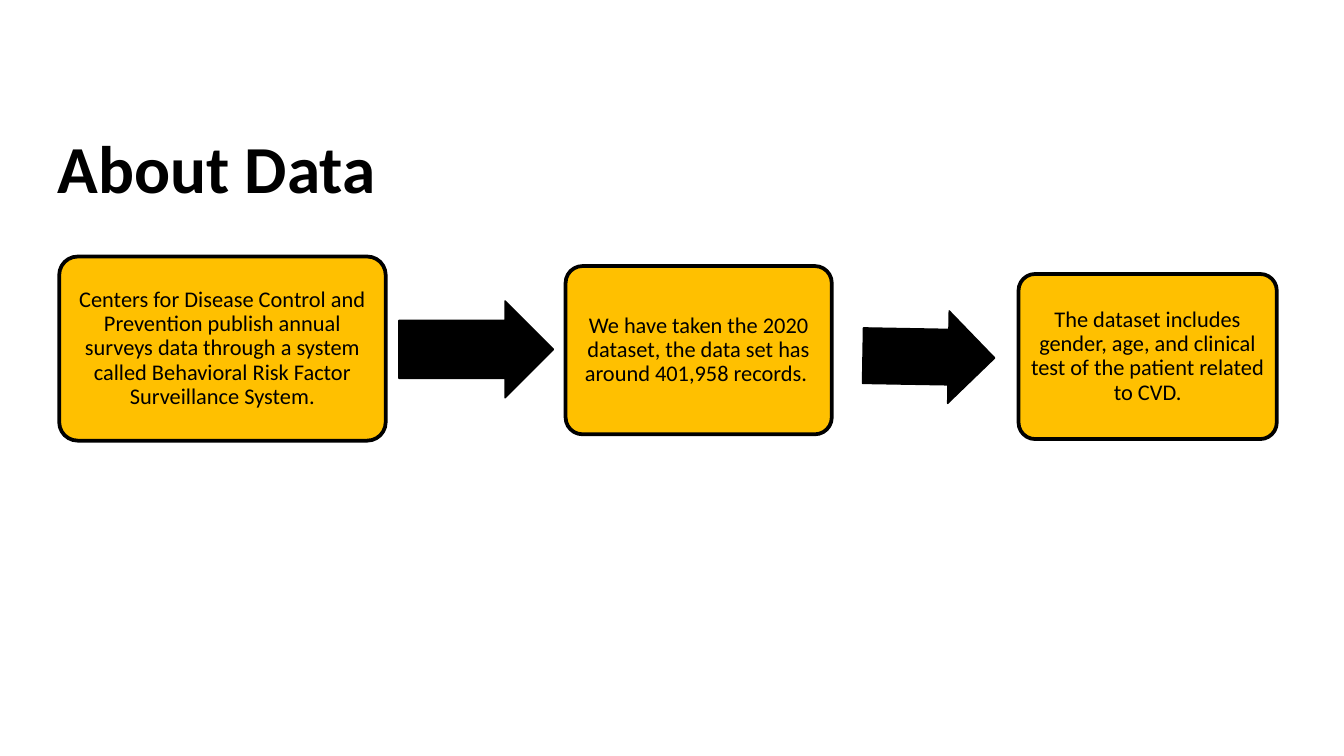
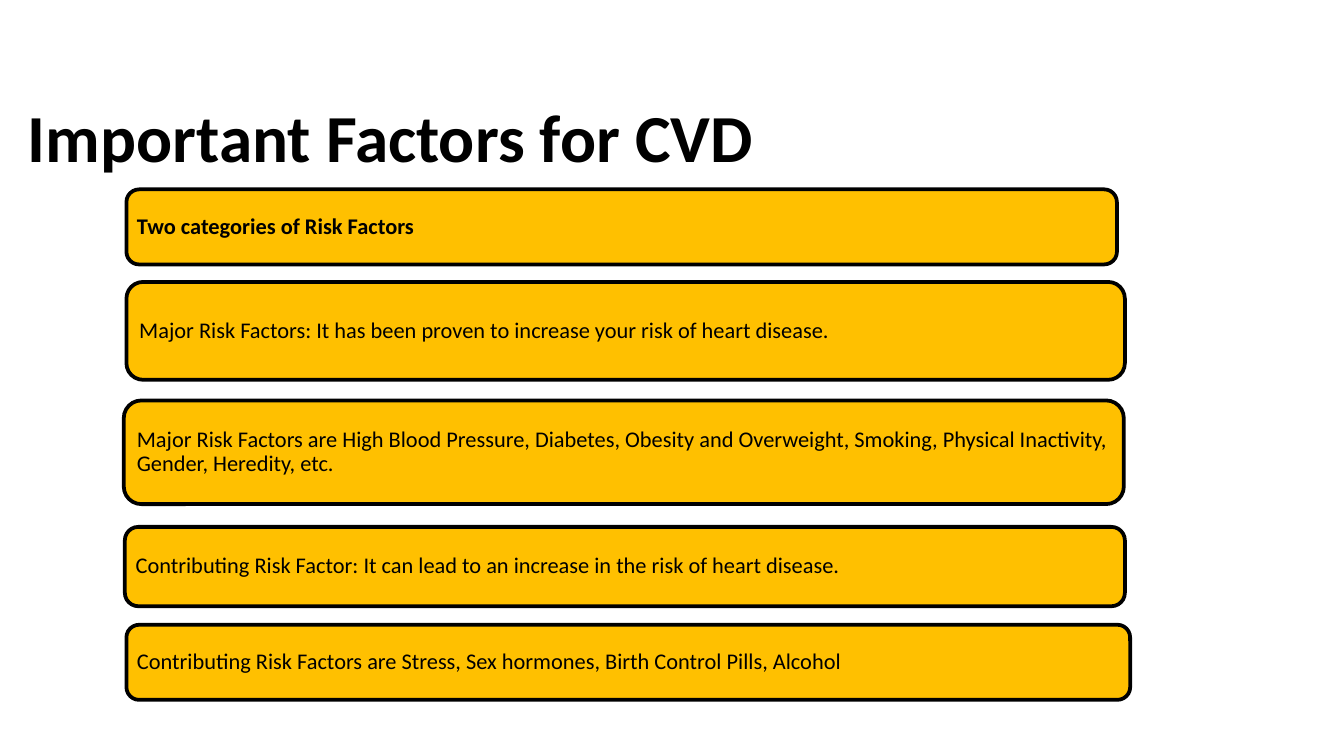
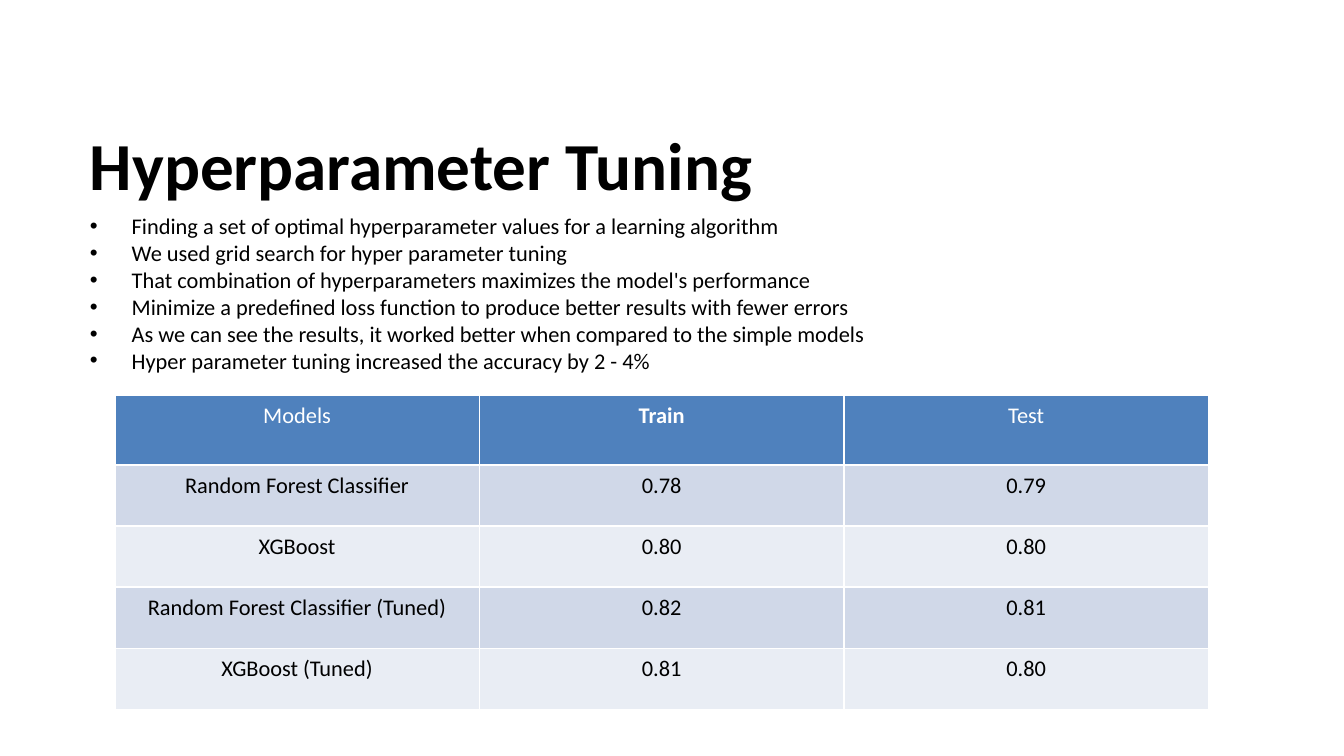
from typing import NamedTuple

from lxml import etree
from pptx import Presentation
from pptx import util as u
from pptx.dml.color import RGBColor
from pptx.enum import shapes, text
from pptx.oxml import ns

FONT = "Calibri"
HUES = {
    "ink": "000000",
    "paper": "FFFFFF",
    "gold": "FFC000",
    "head": "4F81BD",
    "odd": "D0D8E8",
    "even": "E9EDF4",
}
ALIGN = text.PP_ALIGN
KIND = shapes.MSO_SHAPE


class Area(NamedTuple):
    """Left, top, width and height in centimetres."""
    left: float
    top: float
    width: float
    height: float

    def place(self) -> list:
        return [u.Cm(side) for side in self]


class Card(NamedTuple):
    area: Area
    words: str
    align: int = ALIGN.LEFT
    bold: bool = False
    round: float = 0.17
    pad: float = 0.13


class Arrow(NamedTuple):
    area: Area
    turn: float = 0


# Shared helpers
def hue(name: str) -> RGBColor:
    return RGBColor.from_string(HUES[name])


def add_tag(parent, tag: str, **attrs: str):
    return etree.SubElement(parent, ns.qn(tag), attrs)


def write(frame, words: str, size=12, color="ink", bold=False, align=ALIGN.LEFT,
          lead=None, anchor=None, pad=None, dent=0.0) -> None:
    """Write one paragraph per line; a dent in cm makes them bullets."""
    frame.word_wrap = True
    if anchor is not None:
        frame.vertical_anchor = anchor
    if pad is not None:
        frame.margin_left = frame.margin_right = u.Cm(pad)
        frame.margin_top = frame.margin_bottom = u.Cm(pad)
    for i, line in enumerate(words.split("\n")):
        para = frame.add_paragraph() if i else frame.paragraphs[0]
        para.alignment = align
        if lead:
            para.line_spacing = lead
        if dent:
            props = para._p.get_or_add_pPr()
            props.set("marL", str(u.Cm(dent)))
            props.set("indent", str(-u.Cm(dent)))
            tint = add_tag(props, "a:buClr")
            add_tag(tint, "a:srgbClr", val=HUES["ink"])
            add_tag(props, "a:buFont", typeface="Arial")
            add_tag(props, "a:buChar", char="•")
        run = para.add_run()
        run.text = line
        run.font.name = FONT
        run.font.size = u.Pt(size)
        run.font.bold = bold
        run.font.color.rgb = hue(color)


def add_page(deck, area: Area, title: str, lead=None):
    page = deck.slides.add_slide(deck.slide_layouts[6])
    box = page.shapes.add_textbox(*area.place())
    write(box.text_frame, title, size=36, bold=True, lead=lead,
          anchor=text.MSO_ANCHOR.MIDDLE)
    return page


def add_form(page, kind, area: Area, fill: str, width: float):
    form = page.shapes.add_shape(kind, *area.place())
    form.shadow.inherit = False
    form.fill.solid()
    form.fill.fore_color.rgb = hue(fill)
    form.line.color.rgb = hue("ink")
    form.line.width = u.Pt(width)
    return form


def add_card(page, card: Card) -> None:
    form = add_form(page, KIND.ROUNDED_RECTANGLE, card.area, "gold", 2)
    form.adjustments[0] = card.round
    write(form.text_frame, card.words, bold=card.bold, align=card.align,
          lead=0.9, anchor=text.MSO_ANCHOR.MIDDLE, pad=card.pad)


def add_arrow(page, arrow: Arrow) -> None:
    form = add_form(page, KIND.RIGHT_ARROW, arrow.area, "ink", 0.75)
    form.adjustments[0] = 0.6
    form.rotation = arrow.turn


def add_grid(page, area: Area, rows: list, first: float) -> None:
    """Draw a table whose header is first cm high; other rows share the rest."""
    grid = page.shapes.add_table(len(rows), len(rows[0]), *area.place()).table
    for col in grid.columns:
        col.width = u.Cm(area.width / len(rows[0]))
    for i, row in enumerate(rows):
        rest = (area.height - first) / (len(rows) - 1)
        grid.rows[i].height = u.Cm(rest if i else first)
        fill = ("odd" if i % 2 else "even") if i else "head"
        for j, words in enumerate(row):
            cell = grid.cell(i, j)
            props = cell._tc.get_or_add_tcPr()
            for side in "LRTB":
                edge = add_tag(props, f"a:ln{side}", w=str(u.Pt(1)))
                paint = add_tag(edge, "a:solidFill")
                add_tag(paint, "a:srgbClr", val=HUES["paper"])
            cell.fill.solid()
            cell.fill.fore_color.rgb = hue(fill)
            write(cell.text_frame, words, align=ALIGN.CENTER,
                  color="ink" if i else "paper", bold=words == "Train")


# Slide content
STEPS = [
    Card(Area(1.12, 4.85, 6.17, 3.48),
         "Centers for Disease Control and Prevention publish annual surveys data "
         "through a system called Behavioral Risk Factor Surveillance System.",
         ALIGN.CENTER, round=0.1),
    Card(Area(10.69, 5.03, 5.03, 3.18),
         "We have taken the 2020 dataset, the data set has around 401,958 records. ",
         ALIGN.CENTER, round=0.1),
    Card(Area(19.25, 5.18, 4.88, 3.12),
         "The dataset includes gender, age, and clinical test of the patient "
         "related to CVD.",
         ALIGN.CENTER, round=0.1),
]
ARROWS = [
    Arrow(Area(7.54, 5.69, 2.92, 1.83)),
    Arrow(Area(16.31, 5.87, 2.49, 1.75), turn=1),
]
RISKS = [
    Card(Area(2.39, 3.58, 18.72, 1.42), "Two categories of Risk Factors", bold=True),
    Card(Area(2.39, 5.33, 18.87, 1.85),
         "Major Risk Factors: It has been proven to increase your risk of heart "
         "disease.", pad=0.15),
    Card(Area(2.34, 7.57, 18.9, 1.96),
         "Major Risk Factors are High Blood Pressure, Diabetes, Obesity and "
         "Overweight, Smoking, Physical Inactivity, Gender, Heredity, etc.", pad=0.15),
    Card(Area(2.36, 9.96, 18.9, 1.5),
         "Contributing Risk Factor: It can lead to an increase in the risk of heart "
         "disease."),
    Card(Area(2.39, 11.81, 18.97, 1.42),
         "Contributing Risk Factors are Stress, Sex hormones, Birth Control Pills, "
         "Alcohol"),
]
NOTES = """Finding a set of optimal hyperparameter values for a learning algorithm
We used grid search for hyper parameter tuning
That combination of hyperparameters maximizes the model's performance
Minimize a predefined loss function to produce better results with fewer errors
As we can see the results, it worked better when compared to the simple models
Hyper parameter tuning increased the accuracy by 2 - 4%"""
SCORES = [
    ["Models", "Train", "Test"],
    ["Random Forest Classifier", "0.78", "0.79"],
    ["XGBoost", "0.80", "0.80"],
    ["Random Forest Classifier (Tuned)", "0.82", "0.81"],
    ["XGBoost (Tuned)", "0.81", "0.80"],
]


def main() -> None:
    deck = Presentation()
    deck.slide_width, deck.slide_height = u.Cm(25.4), u.Cm(14.29)

    # About the data: three steps joined by arrows
    page = add_page(deck, Area(0.84, 2.21, 7.6, 1.88), "About Data")
    for card in STEPS:
        add_card(page, card)
    for arrow in ARROWS:
        add_arrow(page, arrow)

    # Risk factors: stacked bars
    page = add_page(deck, Area(0.28, 1.75, 14.68, 1.83),
                    "Important Factors for CVD", lead=0.9)
    for card in RISKS:
        add_card(page, card)

    # Tuning: bullets above the score table
    page = add_page(deck, Area(1.45, 2.06, 18.03, 2.06), "Hyperparameter Tuning")
    add_grid(page, Area(2.17, 7.47, 20.67, 5.94), SCORES, first=1.32)
    box = page.shapes.add_textbox(*Area(1.45, 3.89, 21.36, 3.84).place())
    write(box.text_frame, NOTES, align=ALIGN.JUSTIFY, dent=0.79)

    deck.save("out.pptx")


if __name__ == "__main__":
    main()
